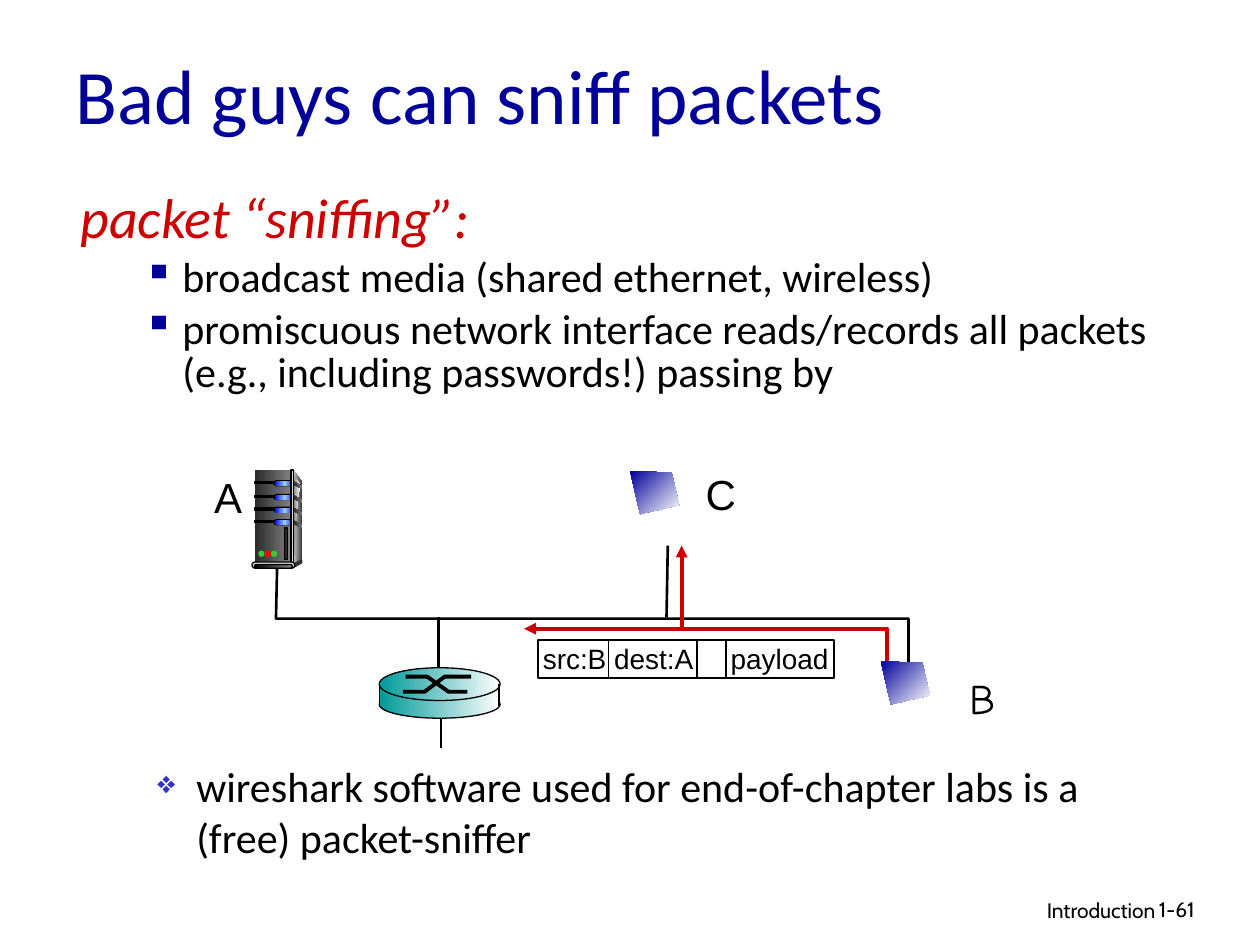
"""Build the packet sniffing slide: text, a shared network and its devices."""
from lxml import etree
from pptx import Presentation
from pptx import util as u
from pptx.dml.color import RGBColor
from pptx.enum import shapes, text
from pptx.oxml.ns import qn

COLORS = {
    "black": "000000", "white": "FFFFFF", "navy": "000099", "red": "CC0000",
    "violet": "3333CC", "teal": "009999", "coal": "292929", "dark": "333333",
    "gray": "808080", "light": "DDDDDD", "pale": "F8F8F8", "blue": "0000FF",
    "sky": "99CCFF", "green": "33CC33", "bright red": "FF0000",
}
BULLET = dict(size=24, font="Calibri", indent=(0.81, -0.31))
BODY = [
    ("packet “sniffing”:", dict(size=32, font="Calibri", color="red", italic=True,
                                indent=(0.38, -0.38), spacing=0.85)),
    ("broadcast media (shared ethernet, wireless)",
     dict(BULLET, bullet="▪", spacing=0.85, before=5)),
    ("promiscuous network interface reads/records all packets "
     "(e.g., including passwords!) passing by",
     dict(BULLET, bullet="▪", spacing=0.85, before=5)),
]
TOOL = "wireshark software used for end-of-chapter labs is a (free) packet-sniffer"
HOSTS = [
    ("A", (1.6, 3.69, 0.42, 0.5), "Arial"),
    ("B", (7.59, 5.29, 0.41, 0.5), "Comic Neue"),
    ("C", (5.5, 3.67, 0.44, 0.5), "Arial"),
]
CABLES = [
    [(2.2, 4.47), (2.19, 4.91), (7.21, 4.91), (7.21, 5.27)],
    [(5.29, 4.9), (5.3, 4.33)],
    [(3.48, 5.31), (3.48, 4.9)],
    [(3.5, 5.94), (3.5, 5.68)],
]
SNIFFED = [[(7.04, 5.25), (7.04, 4.99), (4.16, 4.99)], [(5.41, 4.99), (5.41, 4.33)]]
FIELD_EDGES = (4.83, 5.53, 5.76)
SLOTS = (3.82, 3.93, 4.03, 4.13)
LIGHTS = ("green", "bright red", "green")
CROSSING = [
    [(3.2, 5.49), (3.37, 5.49), (3.53, 5.37), (3.74, 5.37)],
    [(3.22, 5.37), (3.39, 5.37), (3.56, 5.49), (3.71, 5.49)],
]
KIND = shapes.MSO_SHAPE
CENTER, RIGHT = text.PP_ALIGN.CENTER, text.PP_ALIGN.RIGHT


def rgb(name):
    return RGBColor.from_string(COLORS[name])


def style(shape, fill=None, angle=0, line=None, width=0.75, arrow=False):
    if isinstance(fill, tuple):
        shape.fill.gradient()
        shape.fill.gradient_angle = -angle % 360
        stops = shape.element.spPr.find(qn("a:gradFill")).find(qn("a:gsLst"))
        stops.clear()
        for index, name in enumerate(fill):
            position = str(100000 * index // (len(fill) - 1))
            stop = etree.SubElement(stops, qn("a:gs"), pos=position)
            etree.SubElement(stop, qn("a:srgbClr"), val=COLORS[name])
    elif fill:
        shape.fill.solid()
        shape.fill.fore_color.rgb = rgb(fill)
    elif hasattr(shape, "fill"):
        shape.fill.background()
    if line:
        shape.line.color.rgb = rgb(line)
        shape.line.width = u.Pt(width)
    else:
        shape.line.fill.background()
    if arrow:
        outline = shape.element.spPr.find(qn("a:ln"))
        etree.SubElement(outline, qn("a:tailEnd"), type="triangle")
    etree.SubElement(shape.element.spPr, qn("a:effectLst"))


def draw(canvas, kind, place, **look):
    shape = canvas.add_shape(kind, *map(u.Inches, place))
    if kind == KIND.ROUNDED_RECTANGLE:
        shape.adjustments[0] = 0.5
    style(shape, **look)


def trace(canvas, points, closed=False, **look):
    spots = [(u.Inches(x), u.Inches(y)) for x, y in points]
    if len(spots) == 2:
        shape = canvas.add_connector(shapes.MSO_CONNECTOR.STRAIGHT, *spots[0], *spots[1])
    else:
        builder = canvas.build_freeform(*spots[0])
        builder.add_line_segments(spots[1:], close=closed)
        shape = builder.convert_to_shape()
    style(shape, **look)


def add_paragraph(para, words, size=24, font="Arial", color="black", italic=False, align=None,
                  indent=None, spacing=None, before=0, bullet=None, bullet_color="navy",
                  bullet_size=100, tab=None):
    properties = para._p.get_or_add_pPr()
    if indent:
        properties.set("marL", str(u.Inches(indent[0])))
        properties.set("indent", str(u.Inches(indent[1])))
    if bullet:
        tint = etree.SubElement(properties, qn("a:buClr"))
        etree.SubElement(tint, qn("a:srgbClr"), val=COLORS[bullet_color])
        etree.SubElement(properties, qn("a:buSzPct"), val=str(bullet_size * 1000))
        etree.SubElement(properties, qn("a:buChar"), char=bullet)
    if tab:
        tabs = etree.SubElement(properties, qn("a:tabLst"))
        etree.SubElement(tabs, qn("a:tab"), pos=str(u.Inches(tab)), algn="l")
    para.alignment, para.line_spacing, para.space_before = align, spacing, u.Pt(before)
    span = para.add_run()
    span.text = words
    span.font.size, span.font.name, span.font.italic = u.Pt(size), font, italic
    span.font.color.rgb = rgb(color)


def write(canvas, place, content, wrap=True, anchor=text.MSO_ANCHOR.TOP, **look):
    frame = canvas.add_textbox(*map(u.Inches, place)).text_frame
    frame.word_wrap, frame.vertical_anchor = wrap, anchor
    for index, (words, own) in enumerate([(content, look)] if look else content):
        para = frame.add_paragraph() if index else frame.paragraphs[0]
        add_paragraph(para, words, **own)


def draw_screen(page, left, top):
    corners = [(0, 0), (0.33, 0.01), (0.39, 0.27), (0.08, 0.34)]
    trace(page, [(left + x, top + y) for x, y in corners], closed=True,
          fill=("navy", "white"), angle=45)


def draw_packet(page):
    group = page.add_group_shape().shapes
    draw(group, KIND.RECTANGLE, (4.27, 5.08, 2.35, 0.3), fill="white", line="black", width=1)
    for x in FIELD_EDGES:
        trace(group, [(x, 5.09), (x, 5.39)], line="black", width=1)
    write(group, (4.21, 5.04, 2.49, 0.37), "src:B dest:A\tpayload", size=16, tab=1.49)


def draw_server(page):
    group = page.add_group_shape().shapes
    pill = KIND.ROUNDED_RECTANGLE
    trace(group, [(2.33, 3.73), (2.4, 3.83), (2.4, 4.45), (2.32, 4.48)], closed=True,
          fill=("light", "dark"))
    draw(group, KIND.RECTANGLE, (2.02, 3.73, 0.29, 0.74), fill=("coal", "gray"))
    trace(group, [(2.33, 3.78), (2.38, 3.84), (2.35, 4.11), (2.33, 4.47)], closed=True,
          fill=("gray", "pale"))
    for y in SLOTS:
        draw(group, KIND.RECTANGLE, (2.02, y, 0.17, 0.02), fill="black", line="black")
        draw(group, pill, (2.17, y - 0.01, 0.16, 0.05), fill="black")
        draw(group, pill, (2.18, y, 0.16, 0.04), fill=("blue", "sky", "blue"))
        trace(group, [(2.33, y), (2.4, y + 0.04), (2.4, y + 0.06), (2.33, y + 0.03)],
              closed=True, fill=("coal", "gray"))
    draw(group, KIND.RECTANGLE, (2.31, 3.73, 0.02, 0.74), fill=("dark", "light", "dark"),
         line="black")
    draw(group, KIND.OVAL, (2.39, 4.44, 0.01, 0.03), fill="dark")
    trace(group, [(2.33, 4.47), (2.33, 4.51), (2.4, 4.47), (2.39, 4.44)], closed=True, fill="dark")
    draw(group, pill, (2, 4.46, 0.34, 0.05), fill="light", line="black")
    draw(group, pill, (2.02, 4.48, 0.3, 0.03), fill=("black", "gray"), line="black")
    for index, color in enumerate(LIGHTS):
        draw(group, KIND.OVAL, (2.05 + 0.05 * index, 4.37, 0.05, 0.05), fill=color)
    draw(group, KIND.RECTANGLE, (2.26, 4.19, 0.02, 0.25), fill="coal", line="black")


def draw_router(page):
    group = page.add_group_shape().shapes
    metal = ("teal", "white")
    draw(group, KIND.OVAL, (3.01, 5.48, 0.96, 0.22), fill=metal, line="black")
    draw(group, KIND.RECTANGLE, (3.01, 5.46, 0.96, 0.14), fill=metal)
    draw(group, KIND.OVAL, (3.01, 5.3, 0.96, 0.26), fill=metal, line="black")
    for points in CROSSING:
        trace(group, points, line="black", width=2.25)
    for x in (3.01, 3.96):
        trace(group, [(x, 5.43), (x, 5.6)], line="black")


def main():
    deck = Presentation()
    deck.slide_width, deck.slide_height = u.Inches(10), u.Inches(7.5)
    page = deck.slides.add_slide(deck.slide_layouts[6]).shapes
    write(page, (0.5, 0.12, 8.5, 1.25), "Bad guys can sniff packets",
          anchor=text.MSO_ANCHOR.MIDDLE, size=44, font="Calibri", color="navy")
    write(page, (0.54, 1.48, 8.83, 1.62), BODY)
    draw_screen(page, 5, 3.74)
    for points in CABLES:
        trace(page, points, line="black", width=1.5)
    for name, place, font in HOSTS:
        write(page, place, name, wrap=False, font=font, align=CENTER)
    draw_packet(page)
    for points in SNIFFED:
        trace(page, points, line="red", width=2.25, arrow=True)
    write(page, (0.65, 5.99, 8.5, 1), TOOL, bullet="❖", bullet_color="violet",
          bullet_size=75, **BULLET)
    draw_server(page)
    draw_screen(page, 6.99, 5.25)
    draw_router(page)
    write(page, (6.1, 7.07, 3.17, 0.31), "Introduction", size=12, font="Cabin", align=RIGHT)
    write(page, (9.1, 7.07, 0.74, 0.3), "1-61", size=12, font="Cabin")
    deck.save("out.pptx")


if __name__ == "__main__":
    main()
